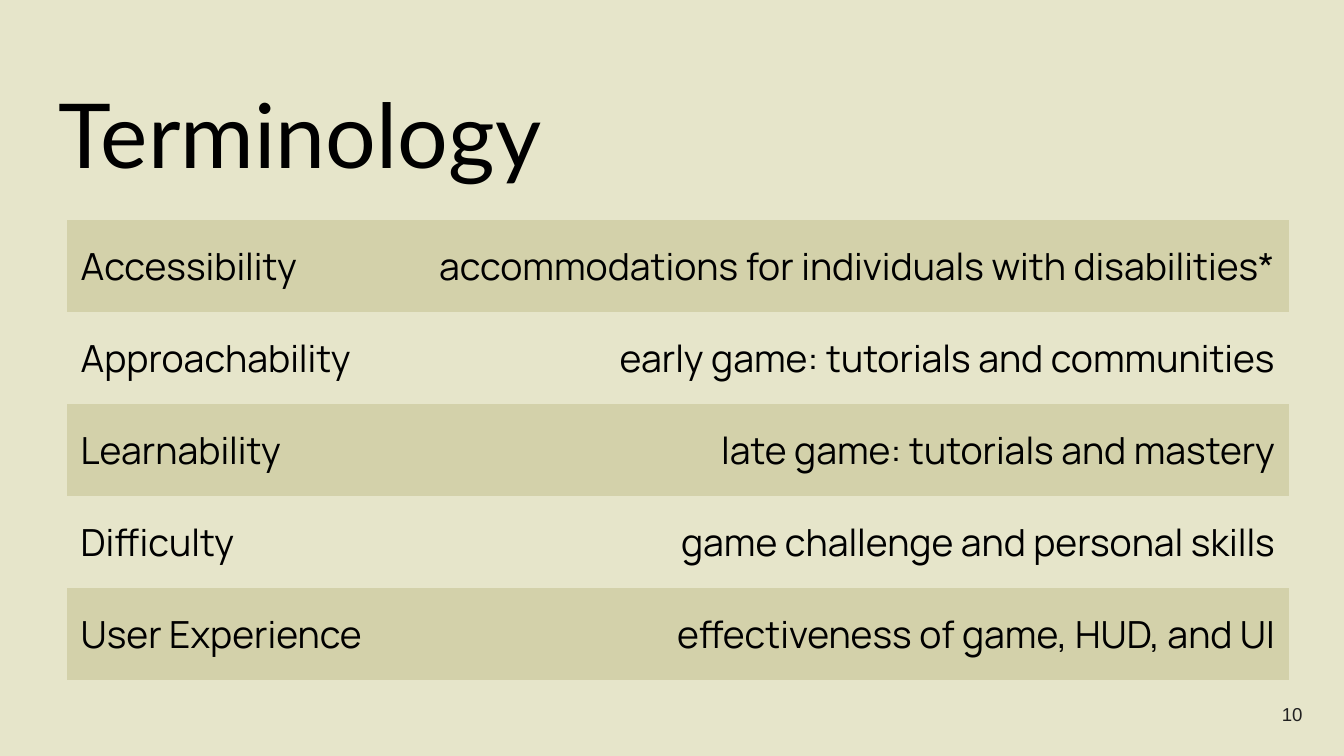
from pptx import Presentation
from pptx.dml.color import RGBColor
from pptx.enum.text import MSO_ANCHOR, PP_ALIGN
from pptx.util import Inches, Pt

BACKGROUND = RGBColor(0xE6, 0xE5, 0xCA)
BAND = RGBColor(0xD3, 0xD1, 0xAA)
BLACK = RGBColor(0, 0, 0)
DARK_GRAY = RGBColor(0x21, 0x21, 0x21)

TITLE_FONT = {"name": "Lato", "size": Pt(48), "color": BLACK}
NUMBER_FONT = {"name": "Arial", "size": Pt(10), "color": DARK_GRAY}
TABLE_FONT = {"name": "Manrope", "size": Pt(20), "color": BLACK}

NO_STYLE_NO_GRID = "{2D5ABB26-0587-4C30-8999-92F81FD0307C}"
TERM_SHARE = 2.52 / 9.09

TERMS = [
    ("Accessibility", "accommodations for individuals with disabilities*"),
    ("Approachability", "early game: tutorials and communities"),
    ("Learnability", "late game: tutorials and mastery"),
    ("Difficulty", "game challenge and personal skills"),
    ("User Experience", "effectiveness of game, HUD, and UI"),
]


def write_text(text_frame, text, font_format, alignment):
    paragraph = text_frame.paragraphs[0]
    paragraph.alignment = alignment
    run = paragraph.add_run()
    run.text = text
    for attribute, value in font_format.items():
        if attribute == "color":
            run.font.color.rgb = value
        else:
            setattr(run.font, attribute, value)


def add_label(slide, box, text, font_format, alignment, anchor):
    shape = slide.shapes.add_textbox(*map(Inches, box))
    frame_format = {"word_wrap": True, "vertical_anchor": anchor}
    for side in ("left", "top", "right", "bottom"):
        frame_format[f"margin_{side}"] = Inches(0.1)
    for attribute, value in frame_format.items():
        setattr(shape.text_frame, attribute, value)
    write_text(shape.text_frame, text, font_format, alignment)


def add_terms_table(slide, box, terms):
    """Fill the box with equal banded rows: term left, meaning right."""
    left, top, width, height = box
    table = slide.shapes.add_table(len(terms), 2, *map(Inches, box)).table
    table.first_row = False
    table.horz_banding = False
    table_properties = table._tbl.tblPr
    table_properties.find("{*}tableStyleId").text = NO_STYLE_NO_GRID

    for column, share in zip(table.columns, (TERM_SHARE, 1 - TERM_SHARE)):
        column.width = Inches(width * share)
    for row_index, (row, texts) in enumerate(zip(table.rows, terms)):
        row.height = Inches(height / len(terms))
        fill_color = BACKGROUND if row_index % 2 else BAND
        for cell, text, alignment in zip(
            row.cells, texts, (PP_ALIGN.LEFT, PP_ALIGN.RIGHT)
        ):
            cell.fill.solid()
            cell.fill.fore_color.rgb = fill_color
            cell.vertical_anchor = MSO_ANCHOR.MIDDLE
            write_text(cell.text_frame, text, TABLE_FONT, alignment)


def build_terminology_slide(presentation):
    slide = presentation.slides.add_slide(presentation.slide_layouts[6])
    slide.background.fill.solid()
    slide.background.fill.fore_color.rgb = BACKGROUND
    add_label(slide, (0.34, 0.49, 9.32, 0.96), "Terminology",
              TITLE_FONT, PP_ALIGN.LEFT, MSO_ANCHOR.TOP)
    add_label(slide, (9.41, 5.13, 0.41, 0.36), "10",
              NUMBER_FONT, PP_ALIGN.CENTER, MSO_ANCHOR.MIDDLE)
    add_terms_table(slide, (0.5, 1.64, 9.09, 3.42), TERMS)


def main():
    presentation = Presentation()
    presentation.slide_width = Inches(10)
    presentation.slide_height = presentation.slide_width * 9 // 16
    build_terminology_slide(presentation)
    presentation.save("out.pptx")


if __name__ == "__main__":
    main()
